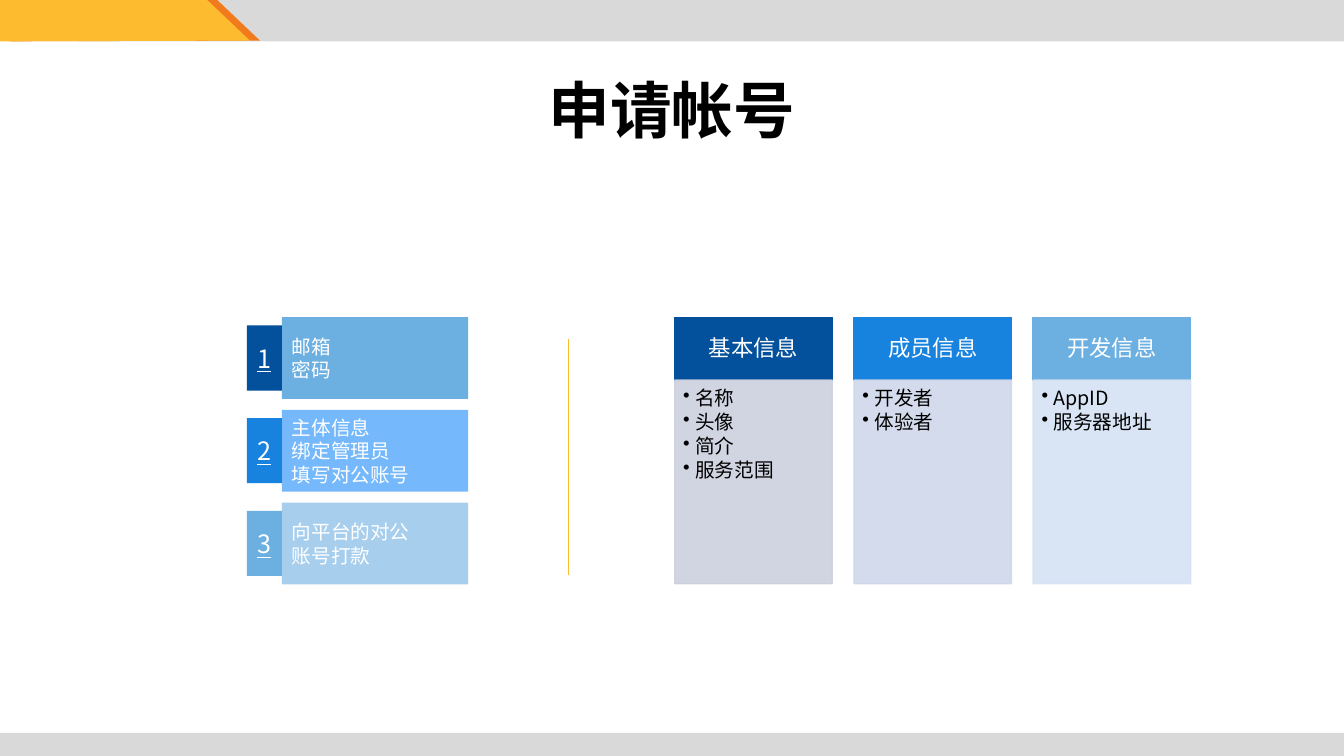
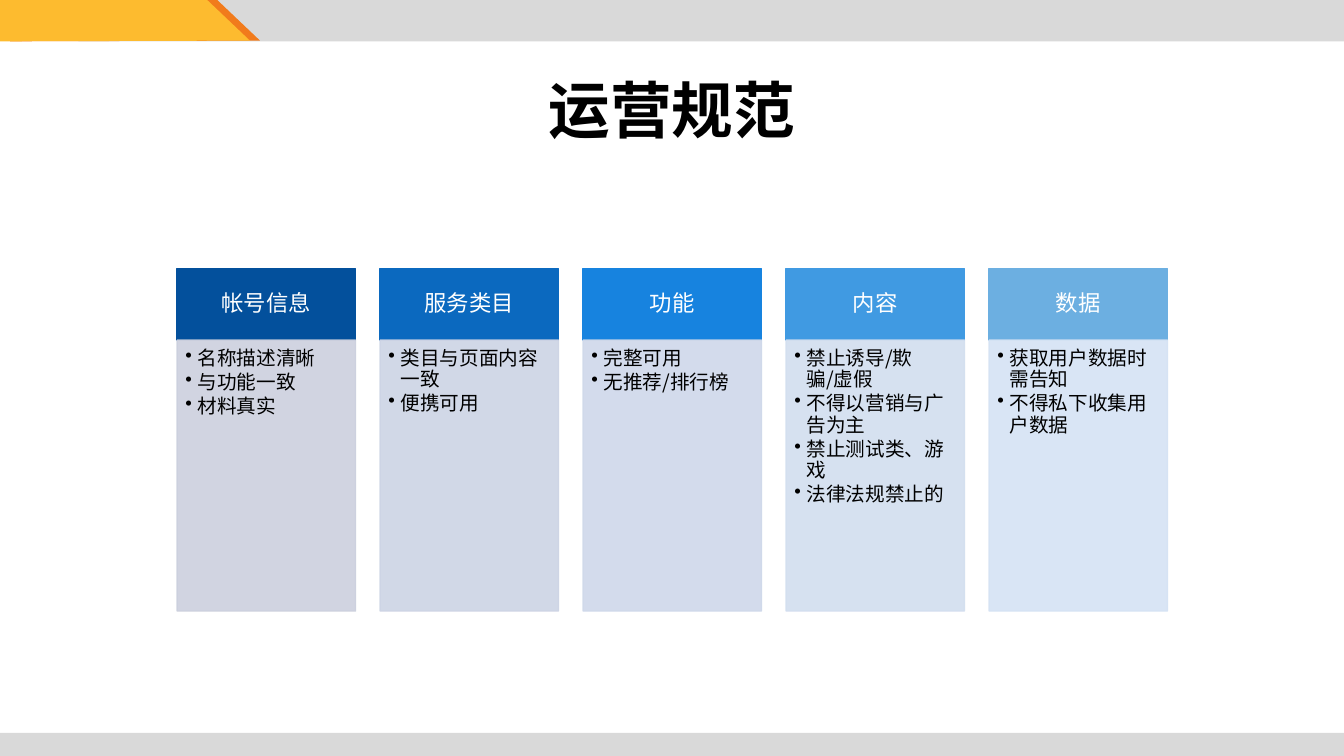
from lxml import etree
from pptx import Presentation
from pptx.dml.color import RGBColor
from pptx.enum import shapes, text
from pptx.oxml.ns import qn
from pptx.util import Pt

WHITE = RGBColor(0xFF, 0xFF, 0xFF)
BLACK = RGBColor(0x00, 0x00, 0x00)
GREY = RGBColor(0xD9, 0xD9, 0xD9)
AMBER = RGBColor(0xFD, 0xBB, 0x2F)
ORANGE = RGBColor(0xF1, 0x7B, 0x1C)
NAVY = RGBColor(0x03, 0x50, 0x9C)
COBALT = RGBColor(0x0B, 0x69, 0xBF)
BLUE = RGBColor(0x17, 0x83, 0xDF)
AZURE = RGBColor(0x40, 0x9A, 0xE2)
SKY = RGBColor(0x6C, 0xAF, 0xE1)
CORNFLOWER = RGBColor(0x75, 0xB9, 0xFC)
ICE = RGBColor(0xA7, 0xCF, 0xED)
PALE = {
    NAVY: RGBColor(0xCC, 0xD0, 0xDE),
    COBALT: RGBColor(0xCD, 0xD4, 0xE5),
    BLUE: RGBColor(0xCF, 0xD8, 0xEA),
    AZURE: RGBColor(0xD2, 0xDE, 0xEF),
    SKY: RGBColor(0xD5, 0xE3, 0xF4),
}


class Deck:
    """Holds the presentation, its style and the slide being filled."""

    FONT = "Noto Sans CJK SC"
    WIDTH, HEIGHT = 960, 540

    def __init__(self):
        self.prs = Presentation()
        self.prs.slide_width, self.prs.slide_height = Pt(self.WIDTH), Pt(self.HEIGHT)
        self.slide = None

    def new_slide(self, title):
        self.slide = self.prs.slides.add_slide(self.prs.slide_layouts[5])
        self.box(56, 0, self.WIDTH - 56, 29.5, GREY)
        self.ribbon(7.2, ORANGE)
        self.ribbon(0, AMBER)
        self.box(0, 523.5, self.WIDTH, 16.5, GREY)
        heading = self.slide.shapes.title
        heading.left, heading.top, heading.width, heading.height = map(Pt, (60, 48, 840, 60))
        self.set_text(heading, [title], 44, BLACK, align=text.PP_ALIGN.CENTER)
        heading.text_frame.paragraphs[0].runs[0].font.bold = True

    def ribbon(self, left, color):
        outline = self.slide.shapes.build_freeform(Pt(left), Pt(29.5))
        corners = [(left + 178.5, 29), (left + 148, 0), (left, 0)]
        outline.add_line_segments([(Pt(x), Pt(y)) for x, y in corners])
        self.paint(outline.convert_to_shape(), color)

    def box(self, left, top, width, height, color):
        rect = self.slide.shapes.add_shape(
            shapes.MSO_SHAPE.RECTANGLE, Pt(left), Pt(top), Pt(width), Pt(height))
        self.paint(rect, color)
        return rect

    def paint(self, shape, color):
        shape.shadow.inherit = False
        shape.fill.solid()
        shape.fill.fore_color.rgb = color
        shape.line.fill.background()

    def outline(self, shape, color):
        shape.line.color.rgb = color
        shape.line.width = Pt(1)

    def fade(self, shape, percent):
        """Set the opacity of the fill and the line of a shape."""
        for color in shape._element.spPr.iter(qn("a:srgbClr")):
            etree.SubElement(color, qn("a:alpha"), val=str(percent * 1000))

    def set_text(self, shape, lines, size, color, align=text.PP_ALIGN.LEFT,
                 anchor=text.MSO_ANCHOR.MIDDLE, insets=(7.2, 3.6, 7.2, 3.6),
                 spacing=1.0, after=0, bullet=False):
        frame = shape.text_frame
        frame.text = "\n".join(lines)
        frame.word_wrap = True
        frame.auto_size = text.MSO_AUTO_SIZE.NONE
        frame.vertical_anchor = anchor
        (frame.margin_left, frame.margin_top,
         frame.margin_right, frame.margin_bottom) = map(Pt, insets)
        for line in frame.paragraphs:
            line.alignment = align
            line.line_spacing = spacing
            line.space_after = Pt(after)
            if bullet:
                props = line._p.get_or_add_pPr()
                props.set("marL", str(Pt(8.64)))
                props.set("indent", str(-Pt(8.64)))
                etree.SubElement(props, qn("a:buChar"), char="•")
            for run in line.runs:
                run.font.name = self.FONT
                run.font.size = Pt(size)
                run.font.color.rgb = color
                latin = run.font._element.find(qn("a:latin"))
                east_asian = etree.Element(qn("a:ea"), typeface=self.FONT)
                latin.addnext(east_asian)

    def step(self, number, lines, left, top, number_color, bar_color):
        bar = self.box(left + 25, top, 133, 58.5, bar_color)
        self.set_text(bar, lines, 14, WHITE, insets=(7.2, 0, 28, 0))
        badge = self.box(left, top + 6, 25, 46.5, number_color)
        self.set_text(badge, [number], 18, WHITE, align=text.PP_ALIGN.CENTER,
                      insets=(0, 0, 0, 0))
        badge.text_frame.paragraphs[0].runs[0].font.underline = True

    def card(self, heading, points, color, left, top, width, head_height, body_height):
        head = self.box(left, top, width, head_height, color)
        self.outline(head, color)
        self.set_text(head, [heading], 16, WHITE, align=text.PP_ALIGN.CENTER, spacing=0.9)
        body = self.box(left, top + head_height, width, body_height, PALE[color])
        self.outline(body, PALE[color])
        self.fade(body, 90)
        self.set_text(body, points, 14, BLACK, anchor=text.MSO_ANCHOR.TOP,
                      insets=(6, 6, 8, 9), spacing=0.9, after=2.1, bullet=True)

    def cards(self, entries, left, pitch, **size):
        for column, (heading, color, points) in enumerate(entries):
            self.card(heading, points, color, left + column * pitch, **size)

    def divider(self, x, top, bottom, color):
        rule = self.slide.shapes.add_connector(
            shapes.MSO_CONNECTOR.STRAIGHT, Pt(x), Pt(top), Pt(x), Pt(bottom))
        self.outline(rule, color)
        etree.SubElement(rule._element.spPr, qn("a:effectLst"))


def account_slide(deck):
    deck.new_slide("申请帐号")
    steps = [
        (["邮箱", "密码"], NAVY, SKY),
        (["主体信息", "绑定管理员", "填写对公账号"], BLUE, CORNFLOWER),
        (["向平台的对公账号打款"], SKY, ICE),
    ]
    for row, (lines, number_color, bar_color) in enumerate(steps):
        deck.step(str(row + 1), lines, 176.4, 226.5 + row * 66.25, number_color, bar_color)
    deck.divider(406, 242, 411, AMBER)
    deck.cards([
        ("基本信息", NAVY, ["名称", "头像", "简介", "服务范围"]),
        ("成员信息", BLUE, ["开发者", "体验者"]),
        ("开发信息", SKY, ["AppID", "服务器地址"]),
    ], left=482, pitch=128, top=227, width=112.5, head_height=44.5, body_height=145.5)


def rules_slide(deck):
    deck.new_slide("运营规范")
    deck.cards([
        ("帐号信息", NAVY, ["名称描述清晰", "与功能一致", "材料真实"]),
        ("服务类目", COBALT, ["类目与页面内容一致", "便携可用"]),
        ("功能", BLUE, ["完整可用", "无推荐/排行榜"]),
        ("内容", AZURE, ["禁止诱导/欺骗/虚假", "不得以营销与广告为主",
                       "禁止测试类、游戏", "法律法规禁止的"]),
        ("数据", SKY, ["获取用户数据时需告知", "不得私下收集用户数据"]),
    ], left=126.5, pitch=145, top=192, width=127.5, head_height=51, body_height=193.5)


def main():
    deck = Deck()
    account_slide(deck)
    rules_slide(deck)
    deck.prs.save("out.pptx")


if __name__ == "__main__":
    main()
